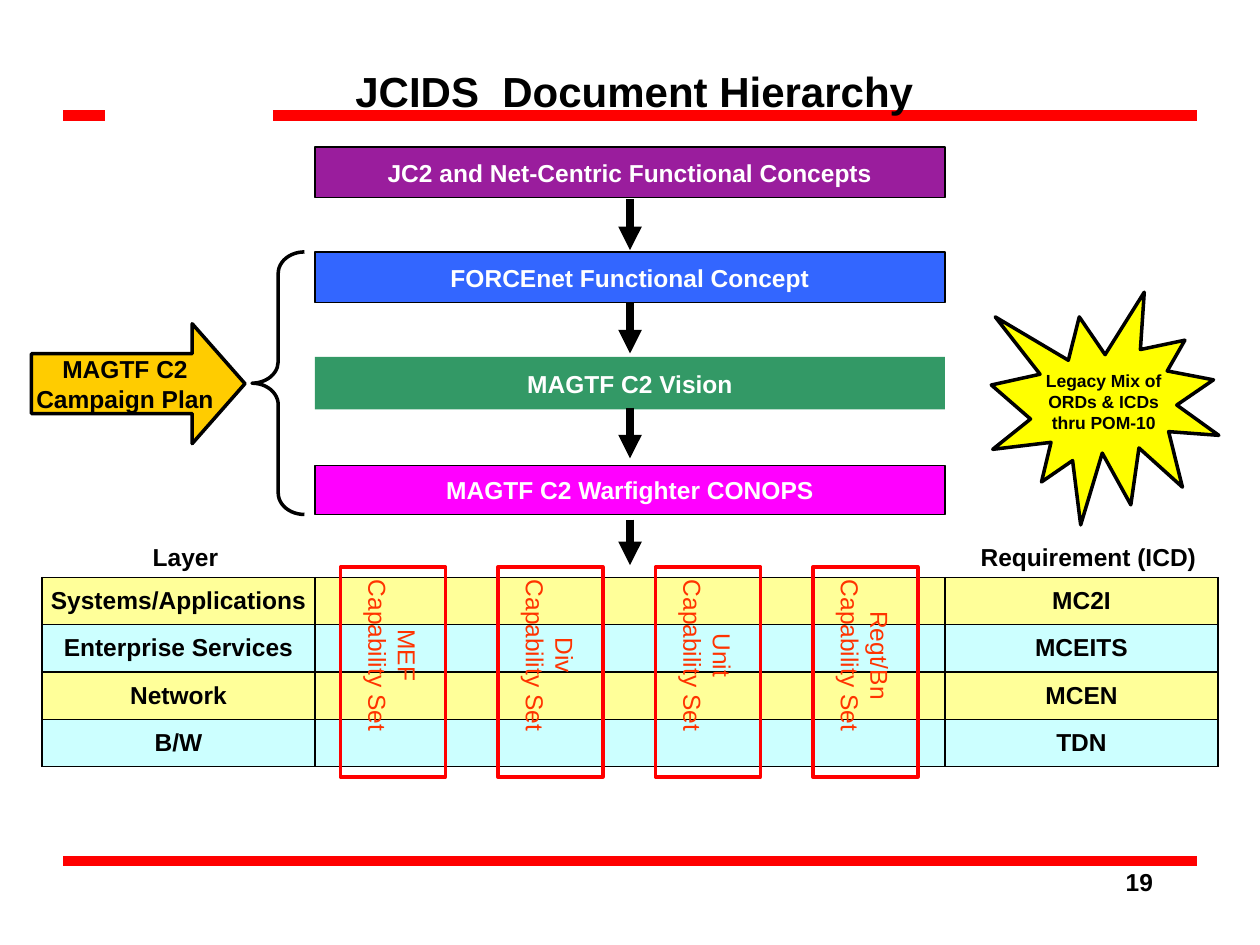
from dataclasses import dataclass
from itertools import cycle

from lxml.etree import SubElement
from pptx import Presentation
from pptx.dml.color import RGBColor as RGB
from pptx.enum.shapes import MSO_CONNECTOR as Connector, MSO_SHAPE as Shape
from pptx.enum.text import MSO_ANCHOR as Anchor, MSO_AUTO_SIZE as AutoSize, PP_ALIGN as Align
from pptx.oxml.ns import qn
from pptx.util import Pt


@dataclass(frozen=True)
class Theme:
    font: str = "Arial"
    title: float = 24
    text: float = 14
    note: float = 10
    thin: float = 0.75
    outline: float = 2
    arrow: float = 4.5
    rule: float = 6
    black: str = "000000"
    white: str = "FFFFFF"
    red: str = "FF0000"
    orange_red: str = "FF3300"
    purple: str = "9A1D9D"
    blue: str = "3366FF"
    green: str = "339966"
    magenta: str = "FF00FF"
    pale_yellow: str = "FFFF99"
    pale_cyan: str = "CCFFFF"
    yellow: str = "FFFF00"
    gold: str = "FFCC00"


def assign(target, values):
    for attribute, value in values.items():
        setattr(target, attribute, value)


class Deck:
    def __init__(self, theme):
        self.theme = theme
        self.presentation = Presentation()
        assign(self.presentation, {"slide_width": Pt(720), "slide_height": Pt(540)})
        self.slide = None

    def new_slide(self):
        self.slide = self.presentation.slides.add_slide(self.presentation.slide_layouts[5])

    def set_text(self, frame, text, size=None, color=None, bold=True, align=Align.CENTER,
                 anchor=Anchor.MIDDLE, margins=(0, 0), wrap=False):
        across, down = (Pt(margin) for margin in margins)
        assign(frame, {
            "text": text, "word_wrap": wrap, "auto_size": AutoSize.NONE,
            "vertical_anchor": anchor, "margin_left": across, "margin_right": across,
            "margin_top": down, "margin_bottom": down,
        })
        for paragraph in frame.paragraphs:
            paragraph.alignment = align
            for run in paragraph.runs:
                self.style(run.font, size, color, bold)

    def style(self, font, size=None, color=None, bold=True):
        assign(font, {"name": self.theme.font, "size": Pt(size or self.theme.text), "bold": bold})
        font.color.rgb = RGB.from_string(color or self.theme.black)

    def stroke(self, line, color, width):
        if color:
            line.color.rgb = RGB.from_string(color)
            line.width = Pt(width)
        else:
            line.fill.background()

    def title(self, text, box):
        heading = self.slide.shapes.title
        assign(heading, dict(zip(("left", "top", "width", "height"), map(Pt, box))))
        self.set_text(heading.text_frame, text, self.theme.title, margins=(4.5, 2.25), wrap=True)
        self.slide.shapes._spTree.append(heading._element)

    def shape(self, kind, box, fill=None, line=None, width=None, text="",
              adjustments=(), vertical=None, **text_format):
        figure = self.slide.shapes.add_shape(kind, *map(Pt, box))
        figure.shadow.inherit = False
        for index, value in enumerate(adjustments):
            figure.adjustments[index] = value
        if fill:
            figure.fill.solid()
            figure.fill.fore_color.rgb = RGB.from_string(fill)
        else:
            figure.fill.background()
        self.stroke(figure.line, line, width)
        if text:
            self.set_text(figure.text_frame, text, **text_format)
        if vertical:
            figure.text_frame._txBody.bodyPr.set("vert", vertical)

    def label(self, text, box, **text_format):
        caption = self.slide.shapes.add_textbox(*map(Pt, box))
        self.set_text(caption.text_frame, text, anchor=Anchor.TOP, margins=(7.2, 3.6),
                      **text_format)

    def line(self, start, end, color, width, arrow=False):
        connector = self.slide.shapes.add_connector(Connector.STRAIGHT, *map(Pt, start + end))
        self.stroke(connector.line, color, width)
        properties = connector._element.spPr
        if arrow:
            SubElement(properties.find(qn("a:ln")), qn("a:tailEnd"), type="triangle")
        SubElement(properties, qn("a:effectLst"))

    def table(self, rows, box, widths, fills):
        grid = self.slide.shapes.add_table(len(rows), len(widths), *map(Pt, box)).table
        assign(grid, {"first_row": False, "horz_banding": False})
        for column, width in zip(grid.columns, widths):
            column.width = Pt(width)
        for row, texts, fill in zip(grid.rows, rows, cycle(fills)):
            row.height = Pt(box[3] / len(rows))
            for cell, text in zip(row.cells, texts):
                self.cell(cell, text, fill)

    def cell(self, cell, text, fill):
        assign(cell, {
            "text": text, "vertical_anchor": Anchor.MIDDLE, "margin_left": 0,
            "margin_right": 0, "margin_top": 0, "margin_bottom": 0,
        })
        paragraph = cell.text_frame.paragraphs[0]
        paragraph.alignment = Align.CENTER
        self.style(paragraph.font)
        for run in paragraph.runs:
            self.style(run.font)
        properties = cell._tc.get_or_add_tcPr()
        for side in ("lnL", "lnR", "lnT", "lnB"):
            border = SubElement(properties, qn(f"a:{side}"), w=str(Pt(self.theme.thin)))
            SubElement(SubElement(border, qn("a:solidFill")), qn("a:srgbClr"), val=self.theme.black)
        cell.fill.solid()
        cell.fill.fore_color.rgb = RGB.from_string(fill)


def main():
    theme = Theme()
    deck = Deck(theme)
    deck.new_slide()

    for left, right, height in ((36, 60, 66), (156, 684, 66), (36, 684, 492)):
        deck.line((left, height), (right, height), theme.red, theme.rule)
    deck.title("JCIDS  Document Hierarchy", (152, 26, 421, 52))

    concepts = (
        ("JC2 and Net-Centric Functional Concepts", 84, 29, theme.purple, theme.black),
        ("FORCEnet Functional Concept", 144, 29, theme.blue, theme.black),
        ("MAGTF C2 Vision", 204, 30, theme.green, None),
        ("MAGTF C2 Warfighter CONOPS", 266, 28, theme.magenta, theme.black),
    )
    for concept, top, height, fill, border in concepts:
        deck.shape(Shape.RECTANGLE, (180, top, 360, height), fill, border, theme.thin,
                   concept, color=theme.white)
    for start, end in ((114, 143), (173, 202), (233, 262), (297, 323)):
        deck.line((360, start), (360, end), theme.black, theme.arrow, arrow=True)

    layers = (
        ("Systems/Applications", "", "MC2I"),
        ("Enterprise Services", "", "MCEITS"),
        ("Network", "", "MCEN"),
        ("B/W", "", "TDN"),
    )
    deck.table(layers, (24, 330, 672, 108), (156, 360, 156),
               (theme.pale_yellow, theme.pale_cyan))
    deck.label("Layer", (80, 306, 52, 24))
    deck.label("Requirement (ICD)", (553, 306, 138, 24))

    for index, unit in enumerate(("MEF", "Div", "Unit", "Regt/Bn")):
        deck.shape(Shape.RECTANGLE, (194.5 + 90 * index, 324, 60, 120), None, theme.red,
                   theme.outline, f"{unit}\nCapability Set", vertical="eaVert",
                   color=theme.orange_red, bold=False, margins=(3.6, 7.2))

    deck.shape(Shape.EXPLOSION1, (566.5, 167, 130, 133), theme.yellow, theme.black, theme.outline,
               "Legacy Mix of\nORDs & ICDs\nthru POM-10", size=theme.note, margins=(7.2, 3.6))
    deck.shape(Shape.LEFT_BRACE, (144, 144, 30, 150), None, theme.black, theme.outline,
               adjustments=(0.41, 0.5))
    deck.shape(Shape.RIGHT_ARROW, (18, 185, 122, 68.5), theme.gold, theme.black, theme.outline,
               "MAGTF C2\nCampaign Plan", adjustments=(0.5, 0.44), margins=(7.2, 3.6))
    deck.label("19", (516, 492, 150, 36), align=Align.RIGHT, wrap=True)
    deck.presentation.save("out.pptx")


if __name__ == "__main__":
    main()
